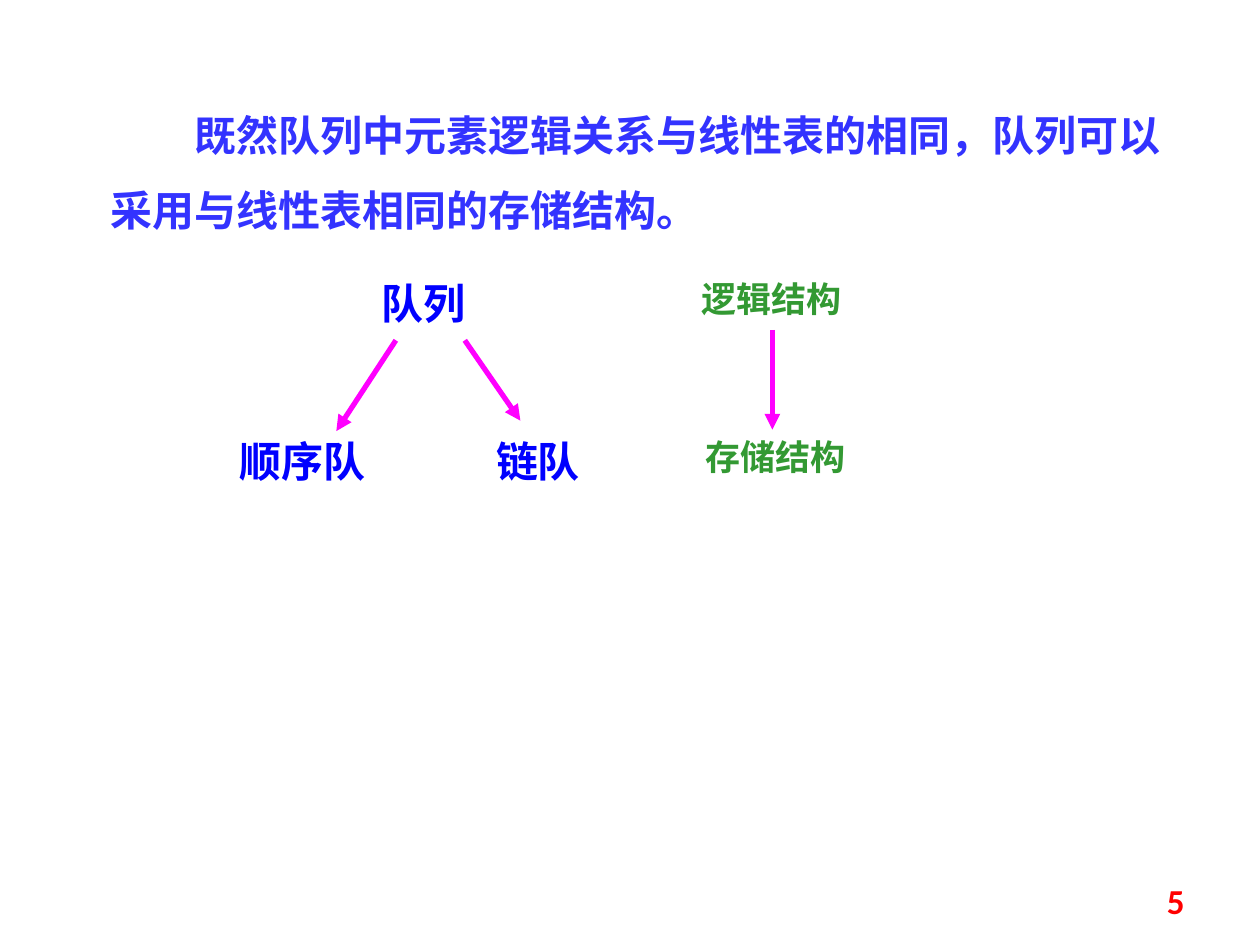
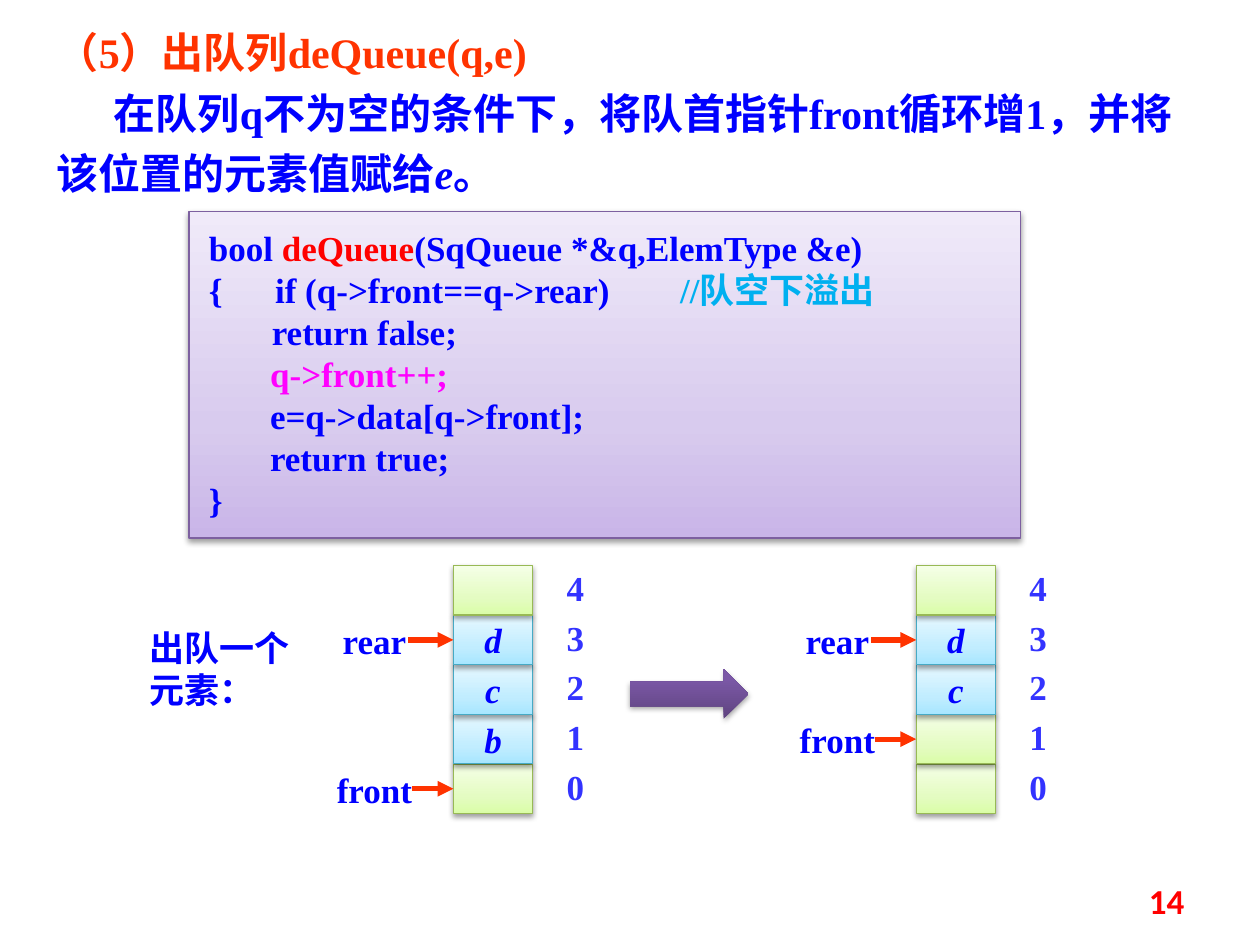
import pptx
import pptx.util
import pptx.dml.color
import pptx.enum.shapes
import pptx.enum.text
import pptx.oxml
import pptx.oxml.ns
from lxml import etree

Cm = pptx.util.Cm
ALIGN = pptx.enum.text.PP_ALIGN
ANCHOR = pptx.enum.text.MSO_ANCHOR
SHAPE = pptx.enum.shapes.MSO_SHAPE
qn = pptx.oxml.ns.qn

LATIN, HAN, NUMBER_FONT = "Times New Roman", "Noto Sans CJK SC", "Calibri"
COLORS = {
    "blue": "0000FF", "soft blue": "3333FF", "green": "339933", "magenta": "FF00FF",
    "orange": "FF3300", "red": "FF0000", "sky": "00B0F0", "shadow": "000000",
    "code line": "7D60A0", "free line": "98B955", "used line": "46AAC5",
}
GRADIENTS = {
    "code": [(0, "C9B5E8"), (35, "D8CBEE"), (100, "F0EAF9")],
    "free": [(0, "DAFDA7"), (35, "E4FCC2"), (100, "F5FFE7")],
    "used": [(0, "A7E6FF"), (35, "C1EDFF"), (100, "E7F8FF")],
    "step": [(0, "5F4480"), (80, "7B58A6"), (100, "7C57A8")],
}

STATEMENT = "既然队列中元素逻辑关系与线性表的相同，队列可以采用与线性表相同的存储结构。"
CONCEPTS = [
    ("队列", (7.16, 5.46, 2.77, 1.27), {"align": ALIGN.CENTER}),
    ("顺序队", (4.57, 8.66, 4.19, 1.27), {}),
    ("链队", (9.75, 8.66, 3.0, 1.27), {}),
    ("逻辑结构", (13.89, 5.46, 3.76, 1.09), {"size": 20, "color": "green"}),
    ("存储结构", (13.97, 8.66, 3.99, 1.09), {"size": 20, "color": "green"}),
]
CONCEPT_ARROWS = [
    (7.98, 6.86, 6.78, 8.69),
    (9.37, 6.86, 10.49, 8.48),
    (15.57, 6.65, 15.57, 8.66),
]

HEADING = "（5）出队列deQueue(q,e)"
EXPLANATION = [
    ("在队列q不为空的条件下，将队首指针front循环增1，并将该位置的元素值赋给", {}),
    ("e", {"italic": True}),
    ("。", {}),
]
CODE = [
    [("bool ", {}), ("deQueue", {"color": "red"}), ("(SqQueue *&q,ElemType &e)", {})],
    [("{      if (q->front==q->rear)　　", {}), ("//队空下溢出", {"color": "sky"})],
    "\treturn false;",
    [("       ", {}), ("q->front++;", {"color": "magenta"})],
    "       e=q->data[q->front];",
    "       return true;",
    "}",
]
STEP_NOTE = "出队一个元素："
QUEUES = [
    {"left": 9.14, "cells": ["", "b", "c", "d", ""], "front": 0, "rear": 3},
    {"left": 18.47, "cells": ["", "", "c", "d", ""], "front": 1, "rear": 3},
]
POINTERS = {"front": {"width": 2.41, "reach": 0.84}, "rear": {"width": 2.0, "reach": 0.91}}
QUEUE_TOP, CELL_WIDTH, CELL_HEIGHT = 11.4, 1.6, 1.0


def rgb(name):
    return pptx.dml.color.RGBColor.from_string(COLORS[name])


def write(frame, paragraphs, size=24, color="blue", font=LATIN, align=ALIGN.LEFT,
          anchor=ANCHOR.TOP, spacing=1.0, indent=0, wrap=True, italic=False):
    frame.word_wrap = wrap
    frame.auto_size = pptx.enum.text.MSO_AUTO_SIZE.NONE
    frame.vertical_anchor = anchor
    for number, spans in enumerate(paragraphs):
        para = frame.add_paragraph() if number else frame.paragraphs[0]
        properties = para._p.get_or_add_pPr()
        properties.set("marL", "0")
        properties.set("indent", str(Cm(indent)))
        etree.SubElement(properties, qn("a:buNone"))
        para.alignment = align
        para.line_spacing = spacing
        para.space_before = pptx.util.Pt(0)
        for text, changes in [(spans, {})] if isinstance(spans, str) else spans:
            span = para.add_run()
            span.text = text
            span.font.size = pptx.util.Pt(size)
            span.font.bold = True
            span.font.italic = changes.get("italic", italic)
            span.font.color.rgb = rgb(changes.get("color", color))
            span.font.name = font
            east_asian = etree.SubElement(span._r.get_or_add_rPr(), qn("a:ea"))
            east_asian.set("typeface", HAN)


def place(shape, left, top, width, height):
    shape.left, shape.top = Cm(left), Cm(top)
    shape.width, shape.height = Cm(width), Cm(height)


def add_text(page, area, text, **style):
    box = page.shapes.add_textbox(*map(Cm, area))
    write(box.text_frame, [text], **style)


def add_arrow(page, ends, color):
    arrow = page.shapes.add_connector(
        pptx.enum.shapes.MSO_CONNECTOR.STRAIGHT, *map(Cm, ends))
    arrow.line.color.rgb = rgb(color)
    arrow.line.width = pptx.util.Pt(3)
    head = etree.SubElement(arrow.line._get_or_add_ln(), qn("a:tailEnd"))
    head.set("type", "triangle")
    etree.SubElement(arrow._element.spPr, qn("a:effectLst"))
    return arrow


def add_panel(page, kind, area, gradient, shadow_opacity=38):
    panel = page.shapes.add_shape(kind, *map(Cm, area))
    panel.fill.gradient()
    panel.fill.gradient_angle = 90
    stops = panel._element.spPr.find(qn("a:gradFill")).find(qn("a:gsLst"))
    for stop in list(stops):
        stops.remove(stop)
    for position, color in GRADIENTS[gradient]:
        stop = etree.SubElement(stops, qn("a:gs"), pos=str(position * 1000))
        etree.SubElement(stop, qn("a:srgbClr"), val=color)
    if gradient + " line" in COLORS:
        panel.line.color.rgb = rgb(gradient + " line")
        panel.line.width = pptx.util.Pt(0.75)
    else:
        panel.line.fill.background()
    panel.shadow.inherit = False
    effects = panel._element.spPr.find(qn("a:effectLst"))
    shadow = etree.SubElement(effects, qn("a:outerShdw"), blurRad="40000", dist="20000",
                              dir="5400000", rotWithShape="0")
    tint = etree.SubElement(shadow, qn("a:srgbClr"), val=COLORS["shadow"])
    etree.SubElement(tint, qn("a:alpha"), val=str(shadow_opacity * 1000))
    return panel


def add_page(deck, number):
    page = deck.slides.add_slide(deck.slide_layouts[1])
    add_text(page, (18.21, 17.65, 5.92, 1.02), str(number), size=20, color="red",
             font=NUMBER_FONT, align=ALIGN.RIGHT, anchor=ANCHOR.MIDDLE)
    return page


def add_queue(page, queue):
    left = queue["left"]
    cells = []
    for index, element in enumerate(queue["cells"]):
        top = QUEUE_TOP + (len(queue["cells"]) - 1 - index) * CELL_HEIGHT
        cell = add_panel(page, SHAPE.RECTANGLE, (left, top, CELL_WIDTH, CELL_HEIGHT),
                         "used" if element else "free")
        if element:
            write(cell.text_frame, [element], size=20, align=ALIGN.CENTER,
                  anchor=ANCHOR.MIDDLE, wrap=False, italic=True)
        add_text(page, (left + 1.86, top - 0.1, 1.2, 1.09), str(index), size=20,
                 color="soft blue", align=ALIGN.CENTER)
        cells.append((cell, top))
    for name, pointer in POINTERS.items():
        cell, top = cells[queue[name]]
        middle = top + CELL_HEIGHT / 2
        arrow = add_arrow(page, (left - pointer["reach"], middle, left, middle), "orange")
        arrow.end_connect(cell, 1)
        width = pointer["width"]
        add_text(page, (left - 1.59 - width / 2, top - 0.04, width, 1.09), name,
                 size=20, align=ALIGN.CENTER)


def build_structure_page(deck):
    page = add_page(deck, 5)
    title, body = page.placeholders
    title._element.getparent().remove(title._element)
    place(body, 1.98, 1.57, 22.43, 3.15)
    write(body.text_frame, [STATEMENT], color="soft blue", spacing=1.5, indent=1.69)
    for text, area, style in CONCEPTS:
        add_text(page, area, text, **style)
    for ends in CONCEPT_ARROWS:
        add_arrow(page, ends, "magenta")


def build_dequeue_page(deck):
    page = add_page(deck, 14)
    title, body = page.placeholders
    place(title, 0.89, 0.2, 23.01, 1.4)
    write(title.text_frame, [HEADING], color="orange", spacing=1.2)
    place(body, 0.89, 1.43, 23.01, 2.74)
    write(body.text_frame, [EXPLANATION], spacing=1.2, indent=1.15)
    code = add_panel(page, SHAPE.RECTANGLE, (3.81, 4.27, 16.76, 6.58), "code")
    frame = code.text_frame
    frame.margin_left = frame.margin_right = Cm(0.4)
    frame.margin_top = frame.margin_bottom = Cm(0.3)
    write(frame, CODE, size=20)
    add_text(page, (2.77, 12.5, 3.58, 1.96), STEP_NOTE, size=20, font=HAN)
    add_panel(page, SHAPE.RIGHT_ARROW, (12.7, 13.49, 2.39, 1.0), "step", shadow_opacity=35)
    for queue in QUEUES:
        add_queue(page, queue)


def main():
    deck = pptx.Presentation()
    deck.slide_width, deck.slide_height = Cm(25.4), Cm(19.05)
    build_structure_page(deck)
    build_dequeue_page(deck)
    deck.save("out.pptx")


if __name__ == "__main__":
    main()
